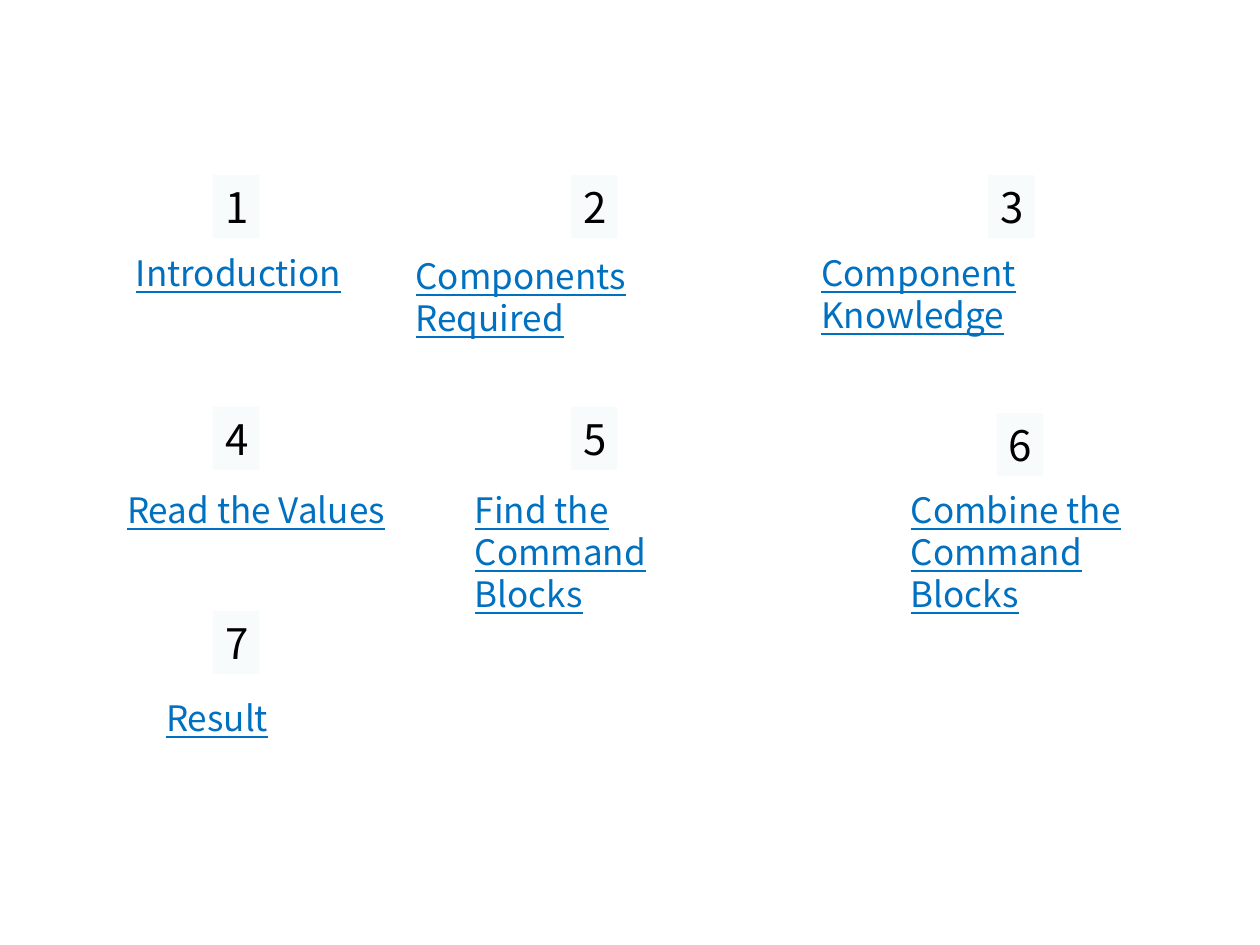
from pptx import Presentation
from pptx import util as u
from pptx.dml.color import RGBColor
from pptx.enum import shapes, text

PALE = RGBColor(0xF7, 0xFB, 0xFC)
BLACK = RGBColor(0x00, 0x00, 0x00)
BLUE = RGBColor(0x00, 0x70, 0xC0)


class Deck:
    """Holds the style and the current slide."""

    font = "Noto Sans CJK SC"

    def __init__(self, wide, high):
        self.prs = Presentation()
        self.prs.slide_width = u.Inches(wide)
        self.prs.slide_height = u.Inches(high)
        self.slide = self.prs.slides.add_slide(self.prs.slide_layouts[6])

    def style(self, shape, words, size, color, align, wrap, line=False):
        frame = shape.text_frame
        frame.text = words
        frame.word_wrap = wrap
        frame.auto_size = text.MSO_AUTO_SIZE.SHAPE_TO_FIT_TEXT
        for para in frame.paragraphs:
            para.alignment = align
            para.line_spacing = u.Pt(1.2 * size)
            for run in para.runs:
                run.font.name = self.font
                run.font.size = u.Pt(size)
                run.font.color.rgb = color
                run.font.underline = line

    def badge(self, left, top, words):
        box = self.slide.shapes.add_shape(
            shapes.MSO_SHAPE.RECTANGLE, u.Inches(left), u.Inches(top),
            u.Inches(0.37), u.Inches(0.5))
        box.shadow.inherit = False
        box.fill.solid()
        box.fill.fore_color.rgb = PALE
        box.line.fill.background()
        self.style(box, words, 24, BLACK, text.PP_ALIGN.CENTER, False)

    def label(self, left, top, wide, words):
        high = 0.44 + 0.33 * words.count("\n")
        box = self.slide.shapes.add_textbox(
            u.Inches(left), u.Inches(top), u.Inches(wide), u.Inches(high))
        self.style(box, words, 20, BLUE, text.PP_ALIGN.LEFT, True, True)


# Badge left and top, then label left, top, width and words
TOPICS = [
    (1.69, 1.39, 0.98, 1.95, 1.87, "Introduction"),
    (4.53, 1.39, 3.2, 1.97, 2.84, "Components Required"),
    (7.84, 1.39, 6.42, 1.95, 2.84, "Component Knowledge"),
    (1.69, 3.23, 0.91, 3.83, 2.28, "Read the Values"),
    (4.53, 3.23, 3.67, 3.83, 2.14, "Find the\nCommand Blocks"),
    (7.91, 3.28, 7.13, 3.83, 2.14, "Combine the\nCommand Blocks"),
    (1.69, 4.85, 1.22, 5.48, 1.03, "Result"),
]


def main():
    deck = Deck(10, 7.5)
    # Numbered topics
    for num, (x, y, left, top, wide, words) in enumerate(TOPICS, 1):
        deck.badge(x, y, str(num))
        deck.label(left, top, wide, words)
    deck.prs.save("out.pptx")


if __name__ == "__main__":
    main()
